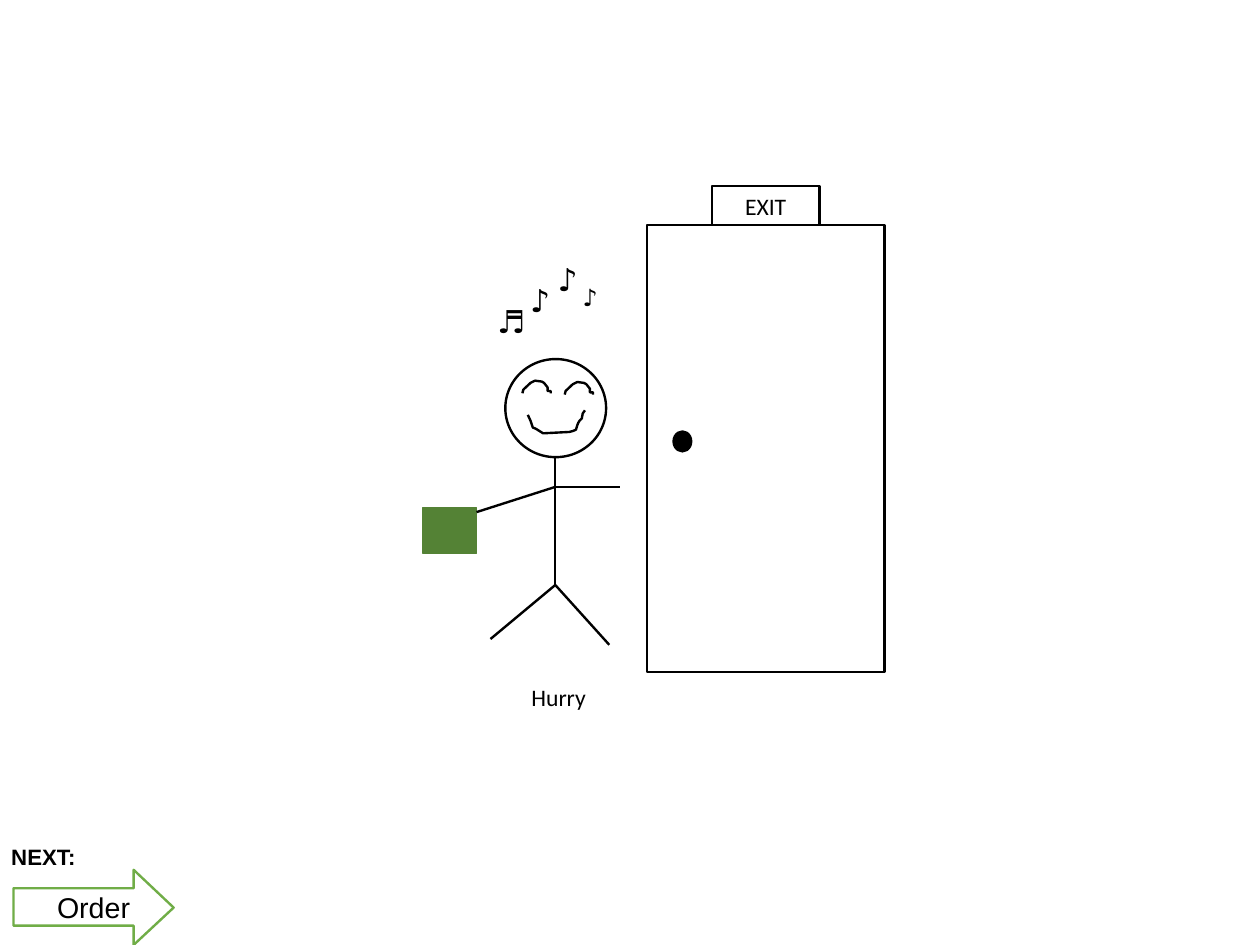
"""Builds the slide with a cheerful stick figure hurrying to the exit door."""
from dataclasses import dataclass

import lxml.etree
import pptx
import pptx.dml.color
import pptx.enum.shapes
import pptx.enum.text
import pptx.oxml.ns
import pptx.util

Cm = pptx.util.Cm
Pt = pptx.util.Pt
MSO_SHAPE = pptx.enum.shapes.MSO_SHAPE
PP_ALIGN = pptx.enum.text.PP_ALIGN
Point = tuple[float, float]

COLORS = {
    "ink": "000000",
    "paper": "FFFFFF",
    "parcel": "548235",
    "arrow": "70AD47",
}


@dataclass
class Box:
    kind: pptx.enum.shapes.MSO_SHAPE
    at: tuple[float, float, float, float]
    fill: str = "paper"
    line: str = "ink"
    width: float = 1.5
    text: str = ""


@dataclass
class Label:
    text: str
    at: tuple[float, float, float, float]
    size: float
    font: str = "Calibri"
    bold: bool = False
    wrap: bool = True
    grow: bool = True


@dataclass
class Outline:
    points: list[Point]
    line: str = "ink"
    close: bool = False
    text: str = ""


NECK = (12.34, 10.16)
SHOULDER = (12.34, 10.82)
HIP = (12.34, 13)
LIMBS = [
    (NECK, HIP),
    (SHOULDER, (13.77, 10.82)),
    (HIP, (10.9, 14.2)),
    (HIP, (13.54, 14.33)),
    ((10.59, 11.38), SHOULDER),
]

BOXES = [
    Box(MSO_SHAPE.OVAL, (11.23, 7.98, 2.24, 2.18)),
    Box(MSO_SHAPE.RECTANGLE, (14.38, 5, 5.28, 9.93)),
    Box(MSO_SHAPE.OVAL, (14.96, 9.58, 0.41, 0.46), "ink", "ink", 1),
    Box(MSO_SHAPE.RECTANGLE, (9.4, 11.28, 1.19, 1.02), "parcel", "parcel", 1),
    Box(MSO_SHAPE.RECTANGLE, (15.82, 4.14, 2.39, 0.86), text="EXIT"),
]

LEFT_EYE = [
    (11.61, 8.74), (11.63, 8.66), (11.79, 8.51), (11.89, 8.46), (12.04, 8.48),
    (12.09, 8.51), (12.17, 8.61), (12.17, 8.69), (12.24, 8.69), (12.24, 8.74),
]
RIGHT_EYE = [(x + 0.94, y + 0.03) for x, y in LEFT_EYE]
MOUTH = [
    (11.73, 9.22), (11.79, 9.35), (11.84, 9.5), (11.91, 9.53), (12.07, 9.63),
    (12.65, 9.6), (12.73, 9.58), (12.8, 9.55), (12.83, 9.45), (12.85, 9.4),
    (12.88, 9.35), (12.93, 9.3), (12.95, 9.19), (13, 9.12),
]
NEXT_ARROW = [
    (0.3, 19.74), (2.97, 19.74), (2.97, 19.33), (3.86, 20.17),
    (2.97, 21), (2.97, 20.57), (0.3, 20.57),
]
OUTLINES = [
    Outline(LEFT_EYE),
    Outline(RIGHT_EYE),
    Outline(MOUTH),
    Outline(NEXT_ARROW, "arrow", True, "Order"),
]

LABELS = [
    Label("Hurry", (11.56, 15.04, 1.96, 0.89), 14.9),
    Label("♬", (10.8, 6.58, 0.74, 1.09), 19.8),
    Label("♪", (11.53, 6.12, 0.99, 1.09), 19.8, wrap=False),
    Label("♪", (12.14, 5.66, 0.99, 1.09), 19.8, wrap=False),
    Label("♪", (12.7, 6.15, 0.89, 0.89), 14.9, wrap=False),
    Label("NEXT:", (0, 18.62, 3.2, 0.97), 14, "Arial", bold=True, grow=False),
]


def rgb(name: str) -> pptx.dml.color.RGBColor:
    """Look up a named colour."""
    return pptx.dml.color.RGBColor.from_string(COLORS[name])


def set_line(line, color: str, width: float = 1.5) -> None:
    """Give a line its colour and width."""
    line.color.rgb = rgb(color)
    line.width = Pt(width)


def write(sp, text: str, size: float, font: str, bold: bool = False,
          align=PP_ALIGN.LEFT) -> None:
    """Put one formatted paragraph into a shape."""
    sp.text_frame.text = text
    p = sp.text_frame.paragraphs[0]
    p.alignment = align
    r = p.runs[0]
    r.font.size = Pt(size)
    r.font.name = font
    r.font.bold = bold
    r.font.color.rgb = rgb("ink")


def draw_box(s, box: Box) -> None:
    """Draw a filled preset shape."""
    sp = s.shapes.add_shape(box.kind, *map(Cm, box.at))
    sp.shadow.inherit = False
    sp.fill.solid()
    sp.fill.fore_color.rgb = rgb(box.fill)
    set_line(sp.line, box.line, box.width)
    if box.text:
        write(sp, box.text, 14.9, "Calibri", align=PP_ALIGN.CENTER)


def draw_limb(s, start: Point, end: Point) -> None:
    """Draw a straight line of the figure."""
    sp = s.shapes.add_connector(pptx.enum.shapes.MSO_CONNECTOR.STRAIGHT,
                                *map(Cm, start + end))
    set_line(sp.line, "ink")
    lxml.etree.SubElement(sp._element.spPr, pptx.oxml.ns.qn("a:effectLst"))


def draw_outline(s, outline: Outline) -> None:
    """Draw an unfilled outline through its points."""
    start, *rest = [(Cm(x), Cm(y)) for x, y in outline.points]
    builder = s.shapes.build_freeform(*start)
    builder.add_line_segments(rest, close=outline.close)
    sp = builder.convert_to_shape()
    sp.shadow.inherit = False
    sp.fill.background()
    set_line(sp.line, outline.line)
    if outline.text:
        write(sp, outline.text, 18, "Arial", align=PP_ALIGN.CENTER)
        sp.text_frame.word_wrap = False
        sp.text_frame.vertical_anchor = pptx.enum.text.MSO_ANCHOR.MIDDLE


def draw_label(s, label: Label) -> None:
    """Draw a text box."""
    sp = s.shapes.add_textbox(*map(Cm, label.at))
    write(sp, label.text, label.size, label.font, label.bold)
    tf = sp.text_frame
    tf.word_wrap = label.wrap
    if label.grow:
        tf.auto_size = pptx.enum.text.MSO_AUTO_SIZE.SHAPE_TO_FIT_TEXT


def main() -> None:
    """Build and save the slide."""
    prs = pptx.Presentation()
    prs.slide_width, prs.slide_height = Cm(28), Cm(21)
    s = prs.slides.add_slide(prs.slide_layouts[6])
    for box in BOXES:
        draw_box(s, box)
    for start, end in LIMBS:
        draw_limb(s, start, end)
    for outline in OUTLINES:
        draw_outline(s, outline)
    for label in LABELS:
        draw_label(s, label)
    prs.save("out.pptx")


if __name__ == "__main__":
    main()
